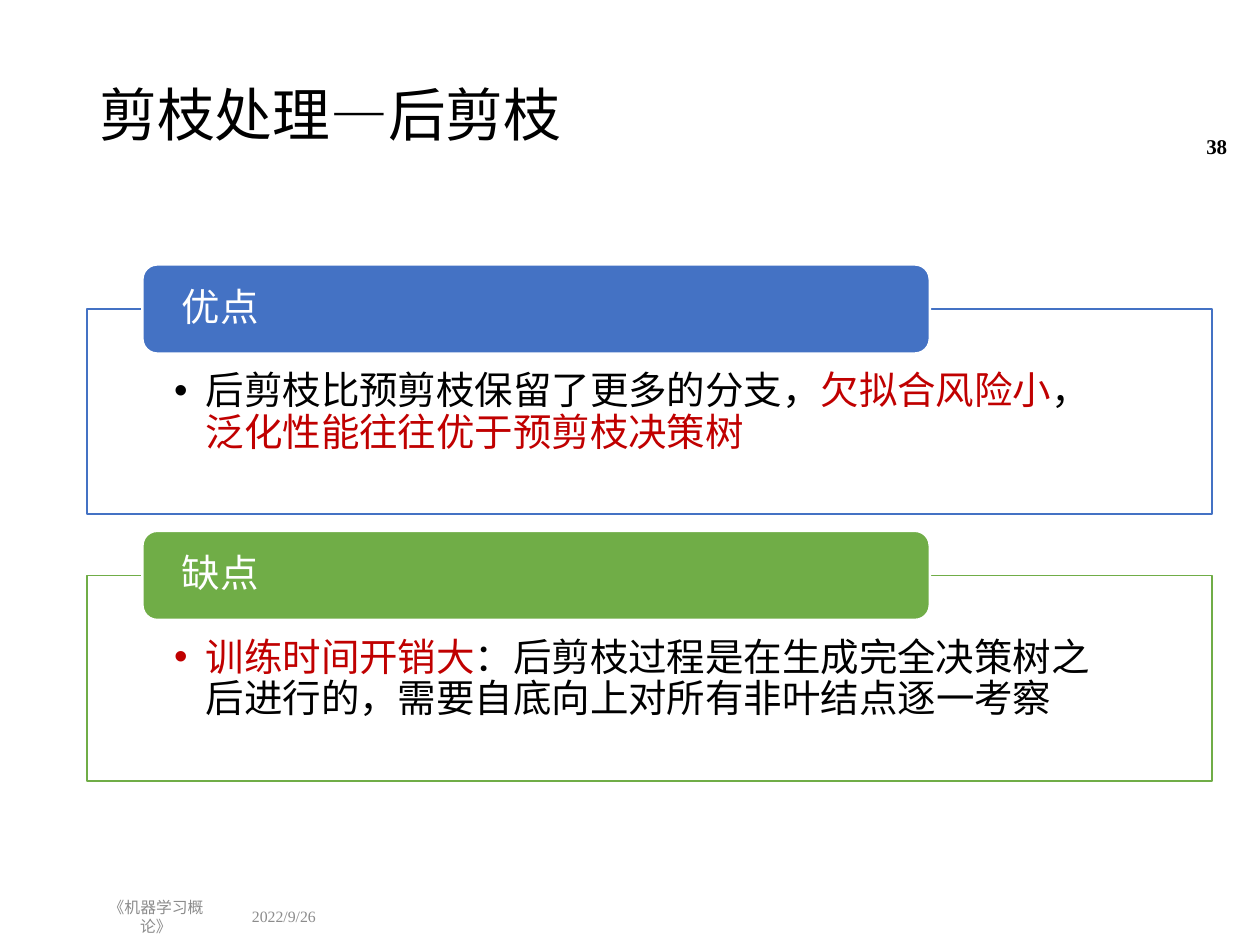
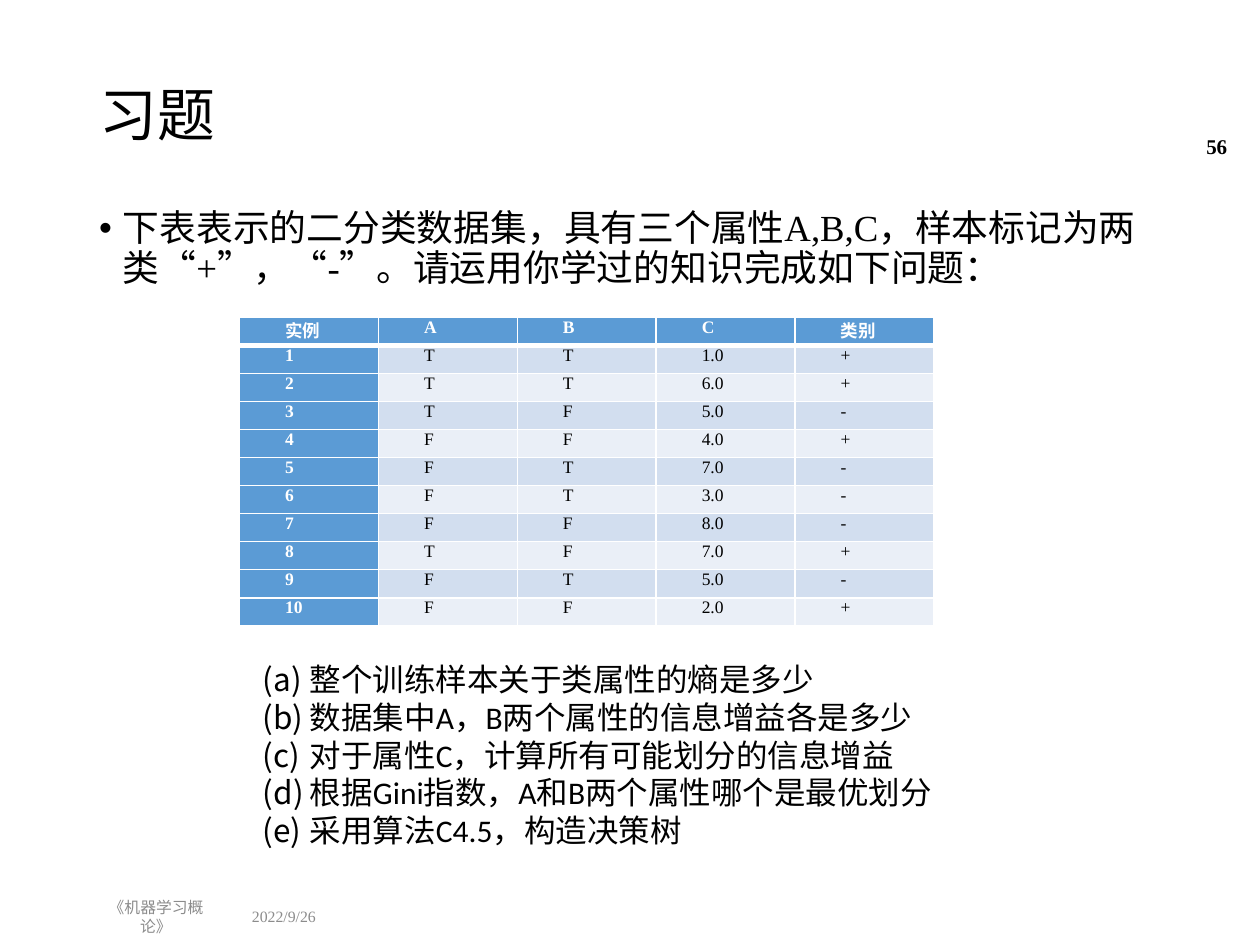
import collections

import pptx
import pptx.dml.color
import pptx.enum.shapes
import pptx.enum.text
import pptx.oxml.ns
import pptx.util
from lxml import etree

Cm = pptx.util.Cm
Pt = pptx.util.Pt
RGBColor = pptx.dml.color.RGBColor
Align = pptx.enum.text.PP_ALIGN
Anchor = pptx.enum.text.MSO_ANCHOR
ShapeType = pptx.enum.shapes.MSO_SHAPE
Box = collections.namedtuple("Box", "left top width height")

BLACK = RGBColor(0x00, 0x00, 0x00)
WHITE = RGBColor(0xFF, 0xFF, 0xFF)
GREY = RGBColor(0x8C, 0x8C, 0x8C)
RED = RGBColor(0xC0, 0x00, 0x00)
BLUE = RGBColor(0x44, 0x72, 0xC4)
GREEN = RGBColor(0x70, 0xAD, 0x47)
TABLE_HEAD = RGBColor(0x5B, 0x9B, 0xD5)
TABLE_BANDS = (RGBColor(0xD2, 0xDE, 0xEF), RGBColor(0xEA, 0xEF, 0xF7))
SERIF = "Times New Roman"
SANS = "Calibri"

TITLE_BOX = Box(1.75, 1.02, 21.89, 2.72)
COURSE_BOX = Box(1.75, 18.11, 2.79, 0.74)
DATE_BOX = Box(4.83, 18.11, 2.31, 0.74)
NUMBER_BOX = Box(23.24, 2.44, 1.75, 1.02)

PANELS = [
    ("优点", BLUE, [("后剪枝比预剪枝保留了更多的分支，", BLACK), ("欠拟合风险小", RED),
                  ("，", BLACK), ("泛化性能往往优于预剪枝决策树", RED)]),
    ("缺点", GREEN, [("训练时间开销大", RED),
                   ("：后剪枝过程是在生成完全决策树之后进行的，需要自底向上对所有非叶结点逐一考察", BLACK)]),
]
EXERCISE = "下表表示的二分类数据集，具有三个属性A,B,C，样本标记为两类“+”，“-”。请运用你学过的知识完成如下问题："
SAMPLES = [
    ("实例", "A", "B", "C", "类别"),
    ("1", "T", "T", "1.0", "+"),
    ("2", "T", "T", "6.0", "+"),
    ("3", "T", "F", "5.0", "-"),
    ("4", "F", "F", "4.0", "+"),
    ("5", "F", "T", "7.0", "-"),
    ("6", "F", "T", "3.0", "-"),
    ("7", "F", "F", "8.0", "-"),
    ("8", "T", "F", "7.0", "+"),
    ("9", "F", "T", "5.0", "-"),
    ("10", "F", "F", "2.0", "+"),
]
QUESTIONS = [
    "整个训练样本关于类属性的熵是多少",
    "数据集中A，B两个属性的信息增益各是多少",
    "对于属性C，计算所有可能划分的信息增益",
    "根据Gini指数，A和B两个属性哪个是最优划分",
    "采用算法C4.5，构造决策树",
]


def in_cm(box):
    """Turn a box of centimetre numbers into lengths."""
    return [Cm(value) for value in box]


def add_run(paragraph, text, size, color=BLACK, font=SERIF, bold=False):
    """Append one formatted run."""
    run = paragraph.add_run()
    run.text = text
    run.font.size = Pt(size)
    run.font.name = font
    run.font.bold = bold
    run.font.color.rgb = color


def set_indent(paragraph, margin, first_line):
    """Set the left margin and first-line indent in centimetres."""
    properties = paragraph._p.get_or_add_pPr()
    properties.set("marL", str(Cm(margin)))
    properties.set("indent", str(Cm(first_line)))


def add_bullet(paragraph, hanging, tag="a:buChar", **attributes):
    """Give a paragraph a hanging bullet or automatic number."""
    set_indent(paragraph, hanging, -hanging)
    properties = paragraph._p.get_or_add_pPr()
    if tag == "a:buChar":
        font = etree.SubElement(properties, pptx.oxml.ns.qn("a:buFont"))
        font.set("typeface", "Arial")
    etree.SubElement(properties, pptx.oxml.ns.qn(tag), attributes)


def set_insets(frame, left, top, right, bottom):
    """Set the four text insets in centimetres."""
    frame.margin_left, frame.margin_top = Cm(left), Cm(top)
    frame.margin_right, frame.margin_bottom = Cm(right), Cm(bottom)


def add_textbox(slide, box, anchor=Anchor.TOP):
    """Add a wrapping text box and return its text frame."""
    frame = slide.shapes.add_textbox(*in_cm(box)).text_frame
    frame.word_wrap = True
    frame.vertical_anchor = anchor
    return frame


def add_label(slide, box, text, size, color, align, bold=False):
    """Add one vertically centred line of text."""
    paragraph = add_textbox(slide, box, Anchor.MIDDLE).paragraphs[0]
    paragraph.alignment = align
    add_run(paragraph, text, size, color, bold=bold)


def add_titled_slide(presentation, title, number):
    """Add a slide with the shared title, footers and page number."""
    slide = presentation.slides.add_slide(presentation.slide_layouts[5])
    shape = slide.shapes.title
    shape.left, shape.top, shape.width, shape.height = in_cm(TITLE_BOX)
    shape.text_frame.vertical_anchor = Anchor.MIDDLE
    paragraph = shape.text_frame.paragraphs[0]
    paragraph.alignment = Align.LEFT
    paragraph.line_spacing = 0.9
    add_run(paragraph, title, 33)
    add_label(slide, DATE_BOX, "2022/9/26", 9, GREY, Align.LEFT)
    add_label(slide, COURSE_BOX, "《机器学习概论》", 9, GREY, Align.CENTER)
    add_label(slide, NUMBER_BOX, number, 12, BLACK, Align.RIGHT, bold=True)
    return slide


def add_panel_shape(slide, kind, box, fill, line, line_width):
    """Add a filled shape and return it with its left-aligned paragraph."""
    shape = slide.shapes.add_shape(kind, *in_cm(box))
    shape.shadow.inherit = False
    shape.fill.solid()
    shape.fill.fore_color.rgb = fill
    shape.line.color.rgb = line
    shape.line.width = Pt(line_width)
    paragraph = shape.text_frame.paragraphs[0]
    paragraph.alignment = Align.LEFT
    paragraph.line_spacing = 0.9
    return shape, paragraph


def add_panel(slide, box, heading, color, parts):
    """Add an outlined panel with a heading tab across its top edge."""
    body, paragraph = add_panel_shape(slide, ShapeType.RECTANGLE, box, WHITE, color, 1)
    body.text_frame.vertical_anchor = Anchor.TOP
    set_insets(body.text_frame, 1.76, 1.26, 1.76, 0.43)
    add_bullet(paragraph, 0.64, char="•")
    for text, text_color in parts:
        add_run(paragraph, text, 22, text_color)
    tab_box = Box(box.left + 1.12, box.top - 0.9, box.width * 0.7, 1.8)
    tab, paragraph = add_panel_shape(
        slide, ShapeType.ROUNDED_RECTANGLE, tab_box, color, WHITE, 1.5)
    tab.text_frame.vertical_anchor = Anchor.MIDDLE
    set_insets(tab.text_frame, 0.71, 0, 0.71, 0)
    add_run(paragraph, heading, 22, WHITE)


def set_borders(cell, top, bottom):
    """Draw white cell borders, with the given top and bottom widths."""
    properties = cell._tc.get_or_add_tcPr()
    for side, width in (("L", 1), ("R", 1), ("T", top), ("B", bottom)):
        line = etree.SubElement(properties, pptx.oxml.ns.qn("a:ln" + side), w=str(Pt(width)))
        fill = etree.SubElement(line, pptx.oxml.ns.qn("a:solidFill"))
        etree.SubElement(fill, pptx.oxml.ns.qn("a:srgbClr"), val=str(WHITE))


def add_sample_table(slide, box, rows):
    """Add the banded table with a header row and a header column."""
    table = slide.shapes.add_table(len(rows), len(rows[0]), *in_cm(box)).table
    for column in table.columns:
        column.width = Cm(box.width / len(rows[0]))
    for row_index, values in enumerate(rows):
        table.rows[row_index].height = Cm(box.height / len(rows))
        for column_index, value in enumerate(values):
            cell = table.cell(row_index, column_index)
            is_head = row_index == 0 or column_index == 0
            set_borders(cell, 3 if row_index == 1 else 1, 3 if row_index == 0 else 1)
            cell.fill.solid()
            cell.fill.fore_color.rgb = TABLE_HEAD if is_head else TABLE_BANDS[(row_index - 1) % 2]
            set_insets(cell, 0.18, 0, 0.18, 0)
            paragraph = cell.text_frame.paragraphs[0]
            set_indent(paragraph, 0, 0.74)
            add_run(paragraph, value, 10, WHITE if is_head else BLACK, bold=is_head)


def add_questions(slide, box, questions):
    """Add the lettered list of questions."""
    frame = add_textbox(slide, box)
    for index, question in enumerate(questions):
        paragraph = frame.add_paragraph() if index else frame.paragraphs[0]
        paragraph.alignment = Align.JUSTIFY
        add_bullet(paragraph, 0.95, "a:buAutoNum", type="alphaLcParenBoth")
        add_run(paragraph, question, 18, font=SANS)


def build_pruning_slide(presentation):
    """Build the slide on the pros and cons of post-pruning."""
    slide = add_titled_slide(presentation, "剪枝处理—后剪枝", "38")
    for index, panel in enumerate(PANELS):
        add_panel(slide, Box(1.75, 6.23 + index * 5.37, 22.68, 4.14), *panel)


def build_exercise_slide(presentation):
    """Build the slide with the exercise data and questions."""
    slide = add_titled_slide(presentation, "习题", "56")
    paragraph = add_textbox(slide, Box(1.75, 4.11, 21.89, 13.69)).paragraphs[0]
    paragraph.line_spacing = 0.9
    paragraph.space_before = Pt(7.5)
    add_bullet(paragraph, 0.48, char="•")
    add_run(paragraph, EXERCISE, 21)
    add_sample_table(slide, Box(4.83, 6.4, 14, 6.22), SAMPLES)
    add_questions(slide, Box(5.05, 13.18, 14.76, 4.11), QUESTIONS)


def main():
    """Build and save the presentation."""
    presentation = pptx.Presentation()
    presentation.slide_width, presentation.slide_height = Cm(25.4), Cm(19.05)
    build_pruning_slide(presentation)
    build_exercise_slide(presentation)
    presentation.save("out.pptx")


if __name__ == "__main__":
    main()
